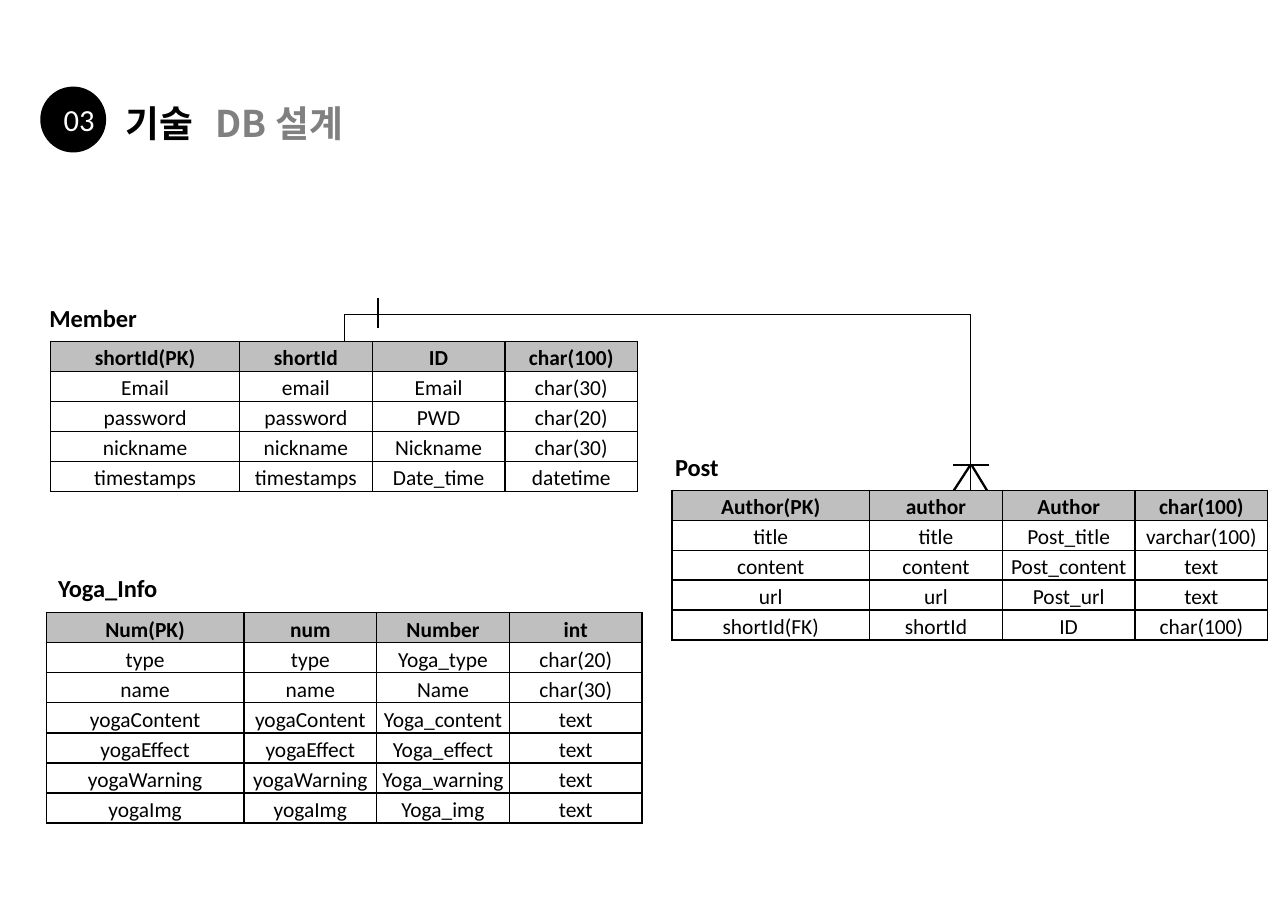
from pptx import Presentation
from pptx.dml.color import RGBColor as RGB
from pptx.enum.shapes import MSO_CONNECTOR as LINK, MSO_SHAPE as SHAPE
from pptx.enum.text import MSO_ANCHOR as ANCHOR, MSO_AUTO_SIZE as FIT, PP_ALIGN as ALIGN
from pptx.oxml.ns import qn
from pptx.util import Inches, Mm, Pt
from lxml.etree import SubElement as Sub

HUE = {"ink": "000000", "head": "BFBFBF", "gray": "808080", "paper": "FFFFFF"}
LATIN, HANGUL = "Calibri", "Noto Sans CJK KR"
WIDE, HIGH = 297, 210

TABLES = [
    (4.2, 55.6, 17.95, 19.1, [
        ("Num(PK)", "num", "Number", "int"),
        ("type", "type", "Yoga_type", "char(20)"),
        ("name", "name", "Name", "char(30)"),
        ("yogaContent", "yogaContent", "Yoga_content", "text"),
        ("yogaEffect", "yogaEffect", "Yoga_effect", "text"),
        ("yogaWarning", "yogaWarning", "Yoga_warning", "text"),
        ("yogaImg", "yogaImg", "Yoga_img", "text"),
    ]),
    (4.6, 31, 17.15, 13.6, [
        ("shortId(PK)", "shortId", "ID", "char(100)"),
        ("Email", "email", "Email", "char(30)"),
        ("password", "password", "PWD", "char(20)"),
        ("nickname", "nickname", "Nickname", "char(30)"),
        ("timestamps", "timestamps", "Date_time", "datetime"),
    ]),
    (61, 44.5, 17.95, 13.6, [
        ("Author(PK)", "author", "Author", "char(100)"),
        ("title", "title", "Post_title", "varchar(100)"),
        ("content", "content", "Post_content", "text"),
        ("url", "url", "Post_url", "text"),
        ("shortId(FK)", "shortId", "ID", "char(100)"),
    ]),
]
COL = 12.05

NAME = {"size": 16, "bold": True, "name": LATIN, "hue": "ink"}
TITLE = {"size": 24, "bold": True, "name": HANGUL, "hue": "ink"}
LABELS = [
    ("Post", (60.3, 40.5, 6, 3.7), False, NAME),
    ("Yoga_Info", (4.3, 51.5, 11.2, 3.7), False, NAME),
    ("Member", (3.5, 27, 10.1, 3.7), False, NAME),
    ("기술", (10.45, 8.7, 33.5, 5), True, TITLE),
    ("03", (4.8, 8.7, 5.7, 4.4), True,
     {"size": 20, "bold": False, "name": LATIN, "hue": "paper"}),
    ("DB 설계", (18.6, 8.7, 16.8, 5), True, TITLE | {"hue": "gray"}),
]

START, END = (31.3, 31), (88.1, 44.5)
BEND = -0.185
TICKS = [
    (34.3, 27, 34.3, 29.8),
    (88.1, 42.2, 86.6, 44.5),
    (88.2, 42.2, 89.6, 44.5),
    (86.5, 42.2, 89.8, 42.2),
]
BADGE = (3.8, 8, 5.7, 5.7)


def unit(n):
    return Inches(n / 10)


def color(key):
    return RGB.from_string(HUE[key])


def style(font, form):
    for key, val in form.items():
        if key == "hue":
            font.color.rgb = color(val)
        else:
            setattr(font, key, Pt(val) if key == "size" else val)


def write(frame, text, form):
    run = frame.paragraphs[0].add_run()
    run.text = text
    style(run.font, form)
    Sub(run._r.get_or_add_rPr(), qn("a:ea"), typeface=form["name"])


def border(cell):
    props = cell._tc.get_or_add_tcPr()
    for side in ("lnL", "lnR", "lnT", "lnB"):
        edge = Sub(props, qn("a:" + side), w=str(Pt(1)))
        Sub(Sub(edge, qn("a:solidFill")), qn("a:srgbClr"), val=HUE["ink"])


def grid(slide, left, top, first, high, rows):
    cols = [first] + [COL] * 3
    frame = slide.shapes.add_table(
        len(rows), len(cols), *map(unit, (left, top, sum(cols), high)))
    table = frame.table
    table.horz_banding = False
    for col, wide in zip(table.columns, cols):
        col.width = unit(wide)
    for r, row in enumerate(rows):
        table.rows[r].height = unit(high / len(rows))
        for c, text in enumerate(row):
            cell = table.cell(r, c)
            edge = Inches(0.01)
            form = {"margin_left": edge, "margin_right": edge, "margin_top": edge,
                    "margin_bottom": 0, "vertical_anchor": ANCHOR.BOTTOM}
            for key, val in form.items():
                setattr(cell, key, val)
            border(cell)
            if r == 0:
                cell.fill.solid()
                cell.fill.fore_color.rgb = color("head")
            else:
                cell.fill.background()
            cell.text_frame.paragraphs[0].alignment = ALIGN.CENTER
            write(cell.text_frame, text, NAME | {"size": 14, "bold": r == 0})


def link(slide, kind, ends, width):
    line = slide.shapes.add_connector(kind, *map(unit, ends))
    line.line.color.rgb = color("ink")
    line.line.width = Pt(width)
    Sub(line._element.spPr, qn("a:effectLst"))
    return line


def elbow(slide):
    (x1, y1), (x2, y2) = START, END
    mid, row = (x1 + x2) / 2, (y1 + y2) / 2
    dx, dy = (y2 - y1) / 2, (x2 - x1) / 2
    line = link(slide, LINK.ELBOW, (mid + dx, row - dy, mid - dx, row + dy), 0.75)
    props = line._element.spPr
    props.find(qn("a:xfrm")).set("rot", str(270 * 60000))
    geom = props.find(qn("a:prstGeom"))
    Sub(geom.find(qn("a:avLst")), qn("a:gd"), name="adj1", fmla=f"val {BEND * 100000:.0f}")


def label(slide, text, box, wrap, form):
    frame = slide.shapes.add_textbox(*map(unit, box)).text_frame
    frame.word_wrap = wrap
    frame.auto_size = FIT.SHAPE_TO_FIT_TEXT
    write(frame, text, form)


def badge(slide):
    disc = slide.shapes.add_shape(SHAPE.OVAL, *map(unit, BADGE))
    disc.shadow.inherit = False
    disc.fill.solid()
    disc.fill.fore_color.rgb = color("ink")
    disc.line.color.rgb = color("ink")
    disc.line.width = Pt(2)


def main():
    deck = Presentation()
    deck.slide_width, deck.slide_height = Mm(WIDE), Mm(HIGH)
    slide = deck.slides.add_slide(deck.slide_layouts[6])
    for table in TABLES:
        grid(slide, *table)
    elbow(slide)
    for ends in TICKS:
        link(slide, LINK.STRAIGHT, ends, 1.5)
    badge(slide)
    for item in LABELS:
        label(slide, *item)
    deck.save("out.pptx")


if __name__ == "__main__":
    main()
